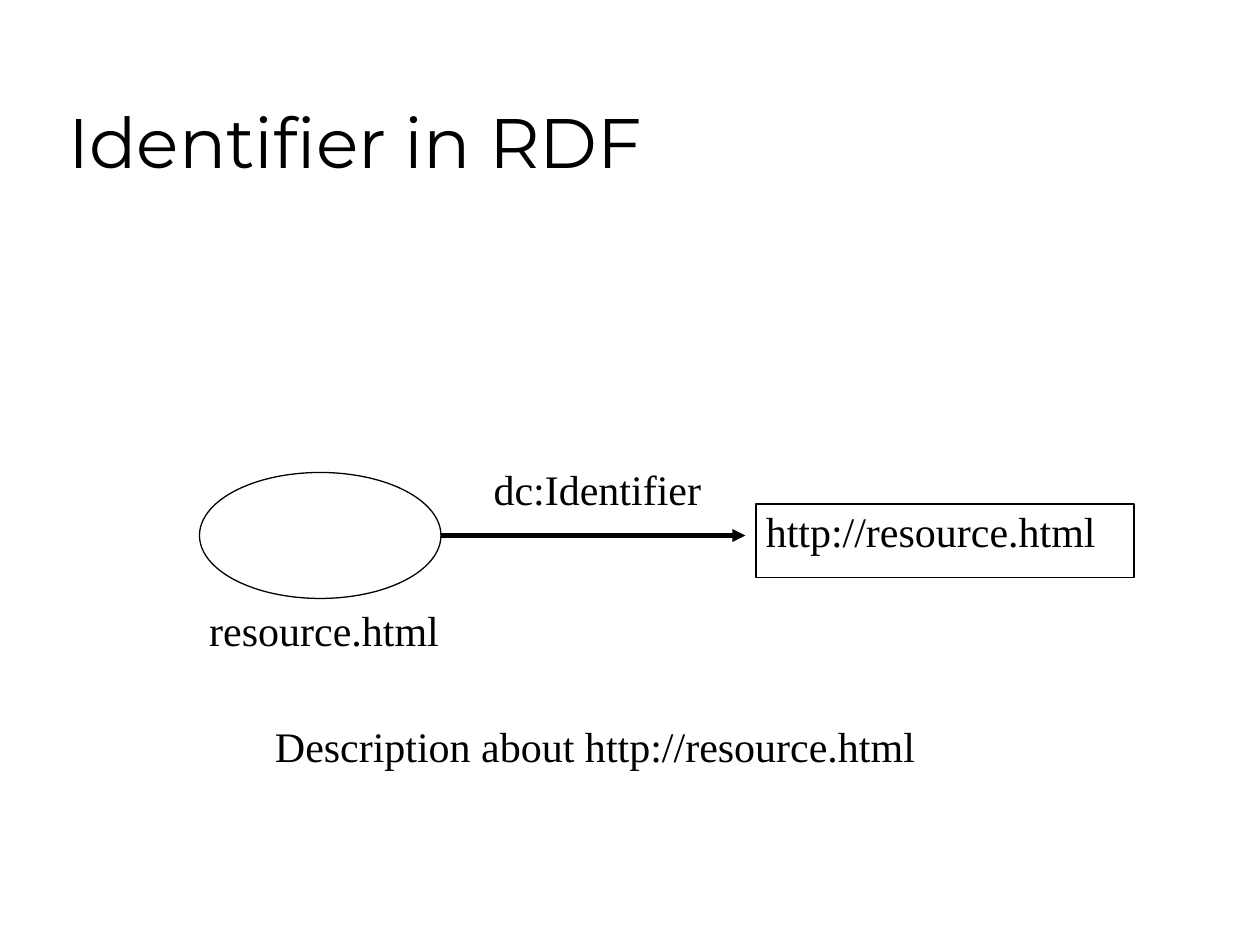
"""Build the slide on the Dublin Core identifier in RDF."""
from dataclasses import dataclass

from lxml import etree
from pptx import Presentation, oxml
from pptx import util as u
from pptx.dml import color
from pptx.enum import shapes, text
from pptx.oxml import ns
from pptx.slide import Slide

BLACK = color.RGBColor(0, 0, 0)
WHITE = color.RGBColor(255, 255, 255)


@dataclass(frozen=True)
class Label:
    words: str
    left: float
    top: float
    width: float
    height: float = 36
    size: float = 24
    font: str = "Times New Roman"
    anchor: text.MSO_ANCHOR = text.MSO_ANCHOR.TOP


@dataclass(frozen=True)
class Node:
    kind: shapes.MSO_SHAPE
    left: float
    top: float
    width: float
    height: float


NODES = (
    Node(shapes.MSO_SHAPE.OVAL, 114, 270, 138, 72),
    Node(shapes.MSO_SHAPE.RECTANGLE, 432, 288, 216, 42),
)
LABELS = (
    Label("Identifier in RDF", 32, 18, 612, 90, 40, "Montserrat",
          text.MSO_ANCHOR.BOTTOM),
    Label("Description about http://resource.html", 150, 408, 384),
    Label("http://resource.html", 430.5, 285.5, 206),
    Label("dc:Identifier", 275, 261.5, 136),
    Label("resource.html", 112.5, 342, 149),
)


def add_node(slide: Slide, node: Node) -> None:
    """Draw an unfilled outline for a resource or a value."""
    shape = slide.shapes.add_shape(
        node.kind, u.Pt(node.left), u.Pt(node.top), u.Pt(node.width), u.Pt(node.height))
    shape.shadow.inherit = False
    shape.fill.background()
    shape.line.color.rgb = BLACK
    shape.line.width = u.Pt(0.75)


def add_arrow(slide: Slide, left: float, right: float, level: float) -> None:
    """Draw the horizontal property arrow."""
    arrow = slide.shapes.add_connector(
        shapes.MSO_CONNECTOR.STRAIGHT, u.Pt(left), u.Pt(level), u.Pt(right), u.Pt(level))
    arrow.line.color.rgb = BLACK
    arrow.line.width = u.Pt(2.5)
    etree.SubElement(arrow.line._get_or_add_ln(), ns.qn("a:tailEnd"), type="triangle")
    arrow._element.spPr.append(oxml.parse_xml(f"<a:effectLst {ns.nsdecls('a')}/>"))


def add_label(slide: Slide, label: Label) -> None:
    """Write one line of text in a box wide enough to hold it."""
    box = slide.shapes.add_textbox(
        u.Pt(label.left), u.Pt(label.top), u.Pt(label.width), u.Pt(label.height))
    frame = box.text_frame
    frame.auto_size = text.MSO_AUTO_SIZE.NONE
    frame.word_wrap = True
    frame.vertical_anchor = label.anchor
    para = frame.paragraphs[0]
    para.text = label.words
    para.font.name = label.font
    para.font.size = u.Pt(label.size)
    para.font.color.rgb = BLACK


def main() -> None:
    """Assemble and save the deck."""
    deck = Presentation()
    deck.slide_width, deck.slide_height = u.Pt(720), u.Pt(540)
    page = deck.slides.add_slide(deck.slide_layouts[6])
    page.background.fill.solid()
    page.background.fill.fore_color.rgb = WHITE
    for node in NODES:
        add_node(page, node)
    add_arrow(page, 252, 426, 306)
    for label in LABELS:
        add_label(page, label)
    deck.save("out.pptx")


if __name__ == "__main__":
    main()
